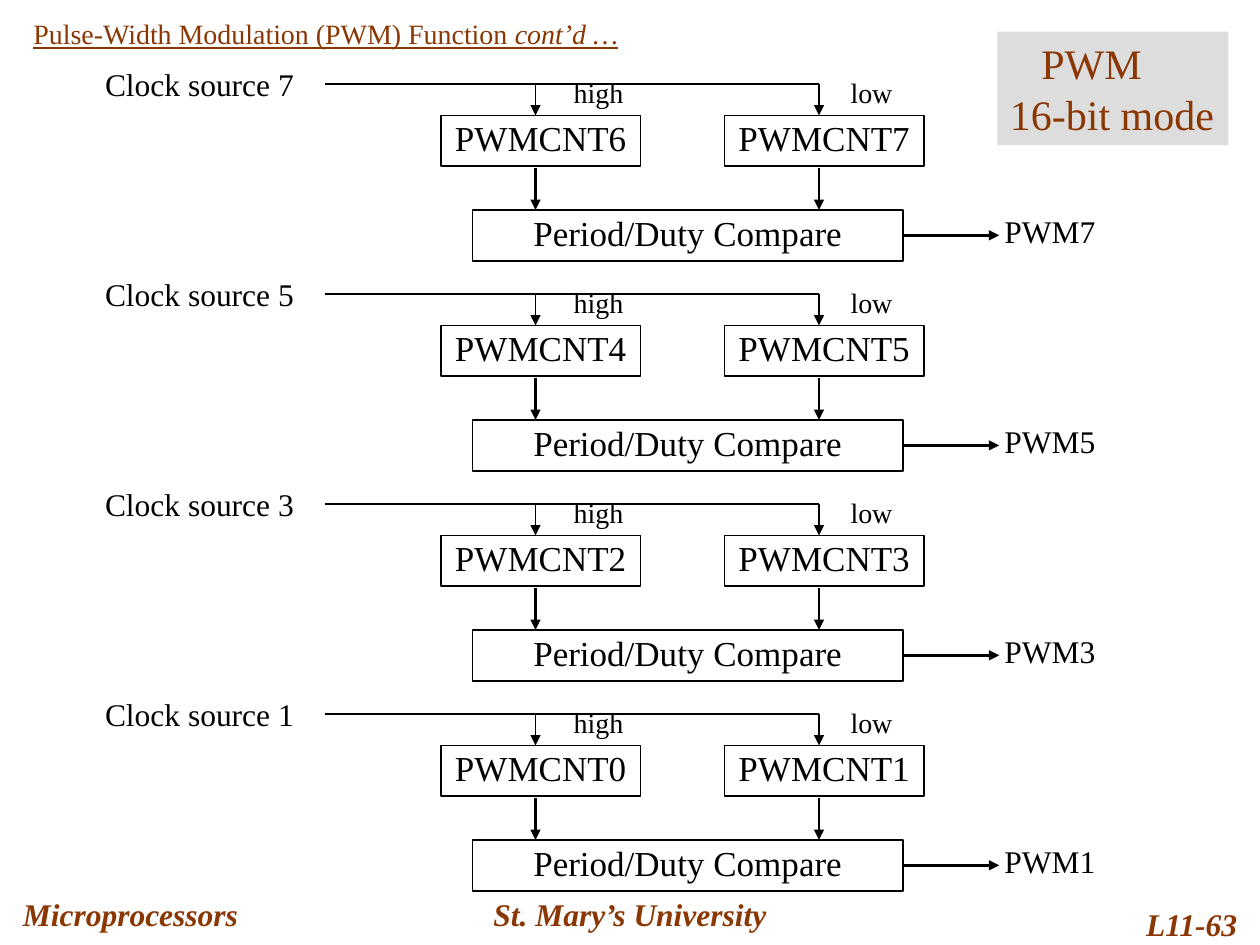
from dataclasses import dataclass, field

from lxml.etree import SubElement
from pptx import Presentation
from pptx.dml.color import RGBColor
from pptx.enum.shapes import MSO_CONNECTOR as Connector, MSO_SHAPE as Preset
from pptx.enum.text import MSO_ANCHOR as Anchor, PP_ALIGN as Align
from pptx.oxml.ns import qn
from pptx.util import Pt

COLOURS = {"ink": "000000", "rust": "8A3704", "panel": "DDDDDD"}
FONT = "Times New Roman"
CHANNELS = 4
PITCH = 120
DROP_XS = (306, 468)
BUS_START, BUS_Y = 186, 48


@dataclass
class Label:
    """A piece of text at a place in points, with an optional frame or fill."""
    text: str
    left: float
    top: float
    width: float
    height: float
    size: int
    align: Align = Align.CENTER
    colour: str = "ink"
    anchor: Anchor = Anchor.TOP
    framed: bool = False
    fill: str = ""
    spacing: float = 1.0
    style: dict = field(default_factory=dict)


@dataclass
class Wire:
    """A straight line between two points, in points."""
    x1: float
    y1: float
    x2: float
    y2: float
    weight: float = 1
    arrow: bool = True


def rgb(name: str) -> RGBColor:
    return RGBColor.from_string(COLOURS[name])


def add_span(para, text: str, label: Label, **extra):
    span = para.add_run()
    span.text = text
    formats = {"name": FONT, "size": Pt(label.size), **label.style, **extra}
    for name, value in formats.items():
        setattr(span.font, name, value)
    span.font.color.rgb = rgb(label.colour)


def draw_label(shapes, label: Label):
    place = [Pt(v) for v in (label.left, label.top, label.width, label.height)]
    if label.framed or label.fill:
        box = shapes.add_shape(Preset.RECTANGLE, *place)
        box.shadow.inherit = False
        if label.fill:
            box.fill.solid()
            box.fill.fore_color.rgb = rgb(label.fill)
        else:
            box.fill.background()
        if label.framed:
            box.line.color.rgb = rgb("ink")
            box.line.width = Pt(1)
        else:
            box.line.fill.background()
    else:
        box = shapes.add_textbox(*place)
    frame = box.text_frame
    frame.word_wrap = True
    frame.vertical_anchor = label.anchor
    para = frame.paragraphs[0]
    para.alignment = label.align
    para.line_spacing = label.spacing
    for index, line in enumerate(label.text.split("\n")):
        if index:
            para.add_line_break()
        add_span(para, line, label)
    return box


def draw_wire(shapes, wire: Wire):
    ends = [Pt(v) for v in (wire.x1, wire.y1, wire.x2, wire.y2)]
    line = shapes.add_connector(Connector.STRAIGHT, *ends)
    line.line.color.rgb = rgb("ink")
    line.line.width = Pt(wire.weight)
    if wire.arrow:
        SubElement(line.line._get_or_add_ln(), qn("a:tailEnd"), type="triangle")
    SubElement(line._element.spPr, qn("a:effectLst"))
    return line


def draw_channel(page, row: int):
    """One 16-bit channel: clock bus, two counters, compare block, output."""
    shapes = page.shapes.add_group_shape().shapes
    shift = row * PITCH
    odd = 2 * (CHANNELS - row) - 1

    # Blocks
    compare = draw_label(shapes, Label("Period/Duty Compare", 270, 120 + shift, 246, 29,
                                       20, framed=True, spacing=0.9))
    for x, number in zip(DROP_XS, (odd - 1, odd)):
        draw_label(shapes, Label(f"PWMCNT{number}", x - 54, 66 + shift, 114, 29,
                                 20, framed=True, spacing=0.9))

    # Clock bus and arrows
    bus_y = BUS_Y + shift
    draw_wire(shapes, Wire(BUS_START, bus_y, DROP_XS[-1], bus_y, arrow=False))
    for x in DROP_XS:
        draw_wire(shapes, Wire(x, bus_y, x, 66 + shift))
        draw_wire(shapes, Wire(x, 96 + shift, x, 120 + shift, 1.5))
    output = draw_wire(shapes, Wire(516, 134.5 + shift, 571, 134.5 + shift, 1.5))
    output.begin_connect(compare, 3)

    # Captions
    for label in (
        Label(f"Clock source {odd}", 48, 36 + shift, 132, 26.6, 18, spacing=0.9),
        Label("high", 318, 42 + shift, 48, 24.3, 16, spacing=0.9),
        Label("low", 474, 42 + shift, 48, 24.3, 16, spacing=0.9),
        Label(f"PWM{odd}", 564, 120 + shift, 72, 26.6, 18, spacing=0.9),
    ):
        draw_label(shapes, label)


def main():
    deck = Presentation()
    deck.slide_width, deck.slide_height = Pt(720), Pt(540)
    page = deck.slides.add_slide(deck.slide_layouts[6])

    # Footer
    footer = {"size": 18, "colour": "rust", "anchor": Anchor.MIDDLE,
              "style": {"bold": True, "italic": True}}
    for label in (
        Label("Microprocessors", 6, 504, 174, 36, align=Align.LEFT, **footer),
        Label("St. Mary’s University", 246, 504, 228, 36, **footer),
        Label("L11-63", 624, 510, 90, 36, align=Align.RIGHT, **footer),
    ):
        draw_label(page.shapes, label)

    # Heading, ending in italics
    heading = Label("Pulse-Width Modulation (PWM) Function ", 12, 6, 642, 26.6, 16,
                    Align.LEFT, "rust", style={"underline": True})
    box = draw_label(page.shapes, heading)
    add_span(box.text_frame.paragraphs[0], "cont’d …", heading, italic=True)

    # Channels
    for row in range(CHANNELS):
        draw_channel(page, row)

    # Mode panel, first line indented
    panel = draw_label(page.shapes, Label("PWM\n16-bit mode", 570, 18, 132, 65, 24,
                                          Align.LEFT, "rust", fill="panel"))
    panel.text_frame.paragraphs[0]._p.get_or_add_pPr().set("indent", str(Pt(18)))

    deck.save("out.pptx")


if __name__ == "__main__":
    main()
